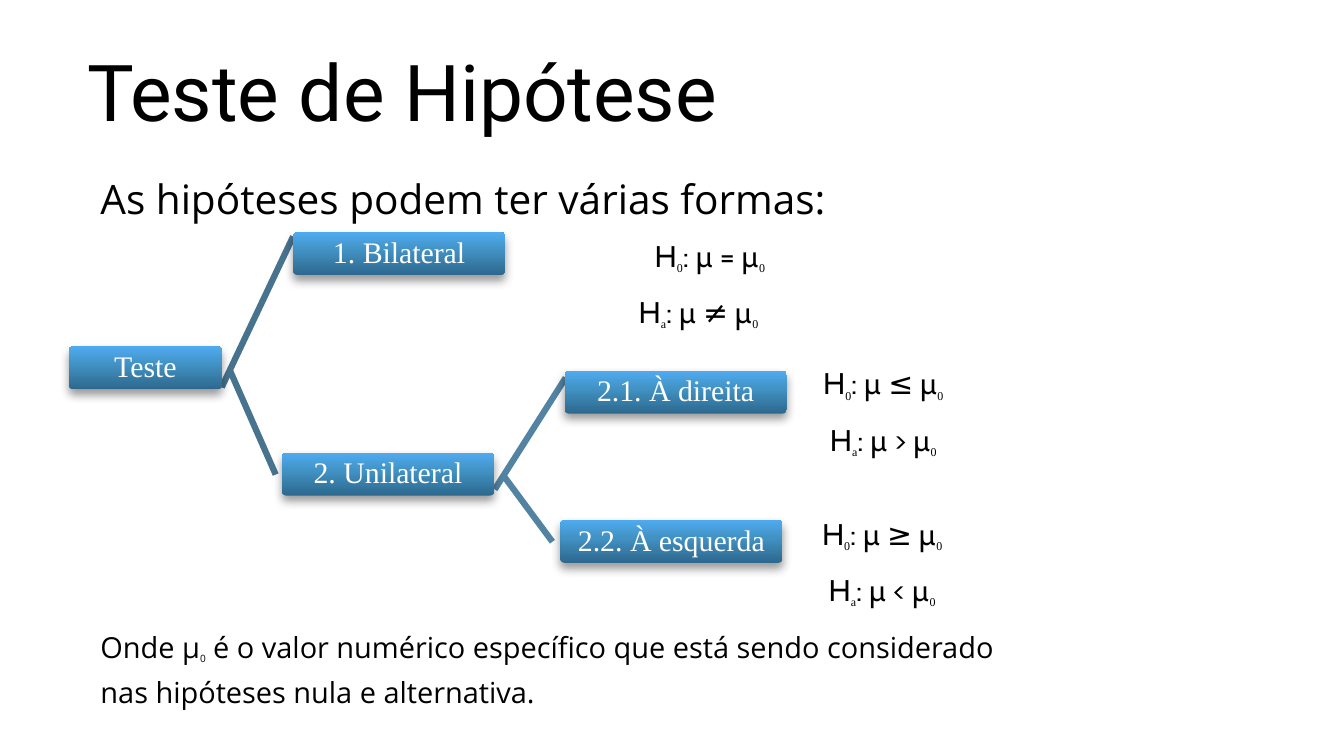
from dataclasses import dataclass

from lxml import etree
from pptx import Presentation
from pptx.dml.color import RGBColor
from pptx.enum.shapes import MSO_CONNECTOR, MSO_SHAPE
from pptx.enum.text import MSO_ANCHOR, MSO_AUTO_SIZE, PP_ALIGN
from pptx.oxml import parse_xml
from pptx.oxml.ns import nsdecls, qn
from pptx.util import Cm, Pt

LEFT, CENTER, RIGHT = PP_ALIGN.LEFT, PP_ALIGN.CENTER, PP_ALIGN.RIGHT
TOP, MIDDLE, BOTTOM = MSO_ANCHOR.TOP, MSO_ANCHOR.MIDDLE, MSO_ANCHOR.BOTTOM
NO_AUTOFIT = MSO_AUTO_SIZE.NONE
ROUNDED = MSO_SHAPE.ROUNDED_RECTANGLE
STRAIGHT = MSO_CONNECTOR.STRAIGHT
TITLE_ONLY = 5


@dataclass(frozen=True)
class Theme:
    ink: str = "000000"
    node_text: str = "FFFFFF"
    main_link: str = "47738F"
    sub_link: str = "5383A3"
    node_stops: tuple = ((0, "2D688E"), (60, "4293C5"), (100, "4FABF1"))
    title_font: str = "Roboto"
    body_font: str = "Open Sans"
    formula_font: str = "Cabin"
    node_font: str = "Times New Roman"
    title_size: float = 42
    intro_size: float = 21.7
    note_size: float = 15.5
    note_sub_size: float = 9.3
    base_size: float = 16
    sub_size: float = 11
    link_width: float = 3.35


def add_text(p, text, *, font, size, color, sub=False):
    r = p.add_run()
    r.text = text
    r.font.name = font
    r.font.size = Pt(size)
    r.font.color.rgb = RGBColor.from_string(color)
    if sub:
        r._r.get_or_add_rPr().set("baseline", "-25000")


def set_frame(tf, anchor, insets=(0, 0, 0, 0)):
    tf.word_wrap = True
    tf.auto_size = NO_AUTOFIT
    tf.vertical_anchor = anchor
    tf.margin_left, tf.margin_top, tf.margin_right, tf.margin_bottom = map(Cm, insets)


class Diagram:
    def __init__(self, slide, theme):
        self.s = slide
        self.theme = theme

    def title(self, text, x, y, w, h):
        t = self.theme
        sp = self.s.shapes.title
        sp.left, sp.top, sp.width, sp.height = map(Cm, (x, y, w, h))
        set_frame(sp.text_frame, MIDDLE, (0.25, 0.13, 0.25, 0.13))
        p = sp.text_frame.paragraphs[0]
        p.alignment = LEFT
        add_text(p, text, font=t.title_font, size=t.title_size, color=t.ink)

    def text_box(self, lines, x, y, w, h, *, font, size, sub_font, sub_size,
                 anchor=BOTTOM, align=LEFT, spacing=1.15, gap=0, insets=(0, 0, 0, 0)):
        tf = self.s.shapes.add_textbox(*map(Cm, (x, y, w, h))).text_frame
        set_frame(tf, anchor, insets)
        for i, parts in enumerate(lines):
            p = tf.add_paragraph() if i else tf.paragraphs[0]
            p.alignment = align
            p.line_spacing = spacing
            if i:
                p.space_before = Pt(gap)
            for j, part in enumerate(parts):
                sub = j % 2 == 1
                add_text(p, part, font=sub_font if sub else font,
                         size=sub_size if sub else size, color=self.theme.ink, sub=sub)

    def body(self, lines, x, y, w, h, size):
        t = self.theme
        self.text_box(lines, x, y, w, h, font=t.body_font, size=size, gap=2.5,
                      sub_font=t.body_font, sub_size=t.note_sub_size)

    def hypotheses(self, null_sign, alt_sign, x, y):
        t = self.theme
        lines = [("H", "0", f": µ {null_sign} µ", "0"),
                 ("H", "a", f": µ {alt_sign} µ", "0", " ")]
        self.text_box(lines, x, y, 3.58, 1.63, font=t.formula_font, size=t.base_size,
                      sub_font=t.node_font, sub_size=t.sub_size, anchor=TOP,
                      align=RIGHT, spacing=1.5, insets=(0.5, 0, 0.25, 0.13))

    def node(self, text, x, y, w):
        t = self.theme
        sp = self.s.shapes.add_shape(ROUNDED, *map(Cm, (x, y, w, 0.81)))
        sp.adjustments[0] = 0.1
        sp.line.fill.background()
        sp.shadow.inherit = False
        stops = "".join(f'<a:gs pos="{pos * 1000}"><a:srgbClr val="{color}"/></a:gs>'
                        for pos, color in t.node_stops)
        sp_pr = sp._element.spPr
        sp_pr.find(qn("a:prstGeom")).addnext(parse_xml(
            f'<a:gradFill {nsdecls("a")} rotWithShape="1"><a:gsLst>{stops}</a:gsLst>'
            '<a:lin ang="16200000" scaled="0"/></a:gradFill>'))
        sp_pr.find(qn("a:effectLst")).append(parse_xml(
            f'<a:outerShdw {nsdecls("a")} blurRad="{Pt(5.2)}" dist="{Pt(3)}" dir="5400000" '
            'rotWithShape="0"><a:srgbClr val="000000"><a:alpha val="40000"/></a:srgbClr>'
            '</a:outerShdw>'))
        set_frame(sp.text_frame, MIDDLE, (0.03,) * 4)
        p = sp.text_frame.paragraphs[0]
        p.alignment = CENTER
        p.line_spacing = 0.9
        add_text(p, text, font=t.node_font, size=t.base_size, color=t.node_text)

    def link(self, x1, y1, x2, y2, color):
        cx = self.s.shapes.add_connector(STRAIGHT, *map(Cm, (x1, y1, x2, y2)))
        cx.line.color.rgb = RGBColor.from_string(color)
        cx.line.width = Pt(self.theme.link_width)
        etree.SubElement(cx._element.spPr, qn("a:effectLst"))


def main():
    prs = Presentation()
    prs.slide_width, prs.slide_height = Cm(25.4), Cm(14.29)
    theme = Theme()
    d = Diagram(prs.slides.add_slide(prs.slide_layouts[TITLE_ONLY]), theme)

    d.title("Teste de Hipótese", 1.4, 0.89, 22.73, 1.63)
    d.body([("As hipóteses podem ter várias formas:",)], 1.9, 2.9, 22, 1.31, theme.intro_size)
    d.body([("Onde µ", "0", " é o valor numérico específico que está sendo considerado"),
            ("nas hipóteses nula e alternativa.",)], 1.9, 11.6, 22, 1.81, theme.note_size)

    for null_sign, alt_sign, x, y in (("=", "≠", 11.13, 4.14),
                                      ("≤", ">", 14.5, 6.55),
                                      ("≥", "<", 14.48, 9.4)):
        d.hypotheses(null_sign, alt_sign, x, y)

    for x1, y1, x2, y2, color in ((4.19, 7.32, 5.54, 4.47, theme.main_link),
                                  (4.34, 6.99, 5.21, 8.97, theme.main_link),
                                  (9.35, 9.25, 10.69, 7.14, theme.sub_link),
                                  (9.5, 8.97, 10.44, 10.24, theme.sub_link)):
        d.link(x1, y1, x2, y2, color)

    for text, x, y, w in (("Teste", 1.3, 6.55, 2.9),
                          ("1. Bilateral", 5.54, 4.39, 4.01),
                          ("2. Unilateral", 5.33, 8.56, 4.01),
                          ("2.1. À direita", 10.67, 7.01, 4.2),
                          ("2.2. À esquerda", 10.59, 9.83, 4.2)):
        d.node(text, x, y, w)

    prs.save("out.pptx")


if __name__ == "__main__":
    main()
